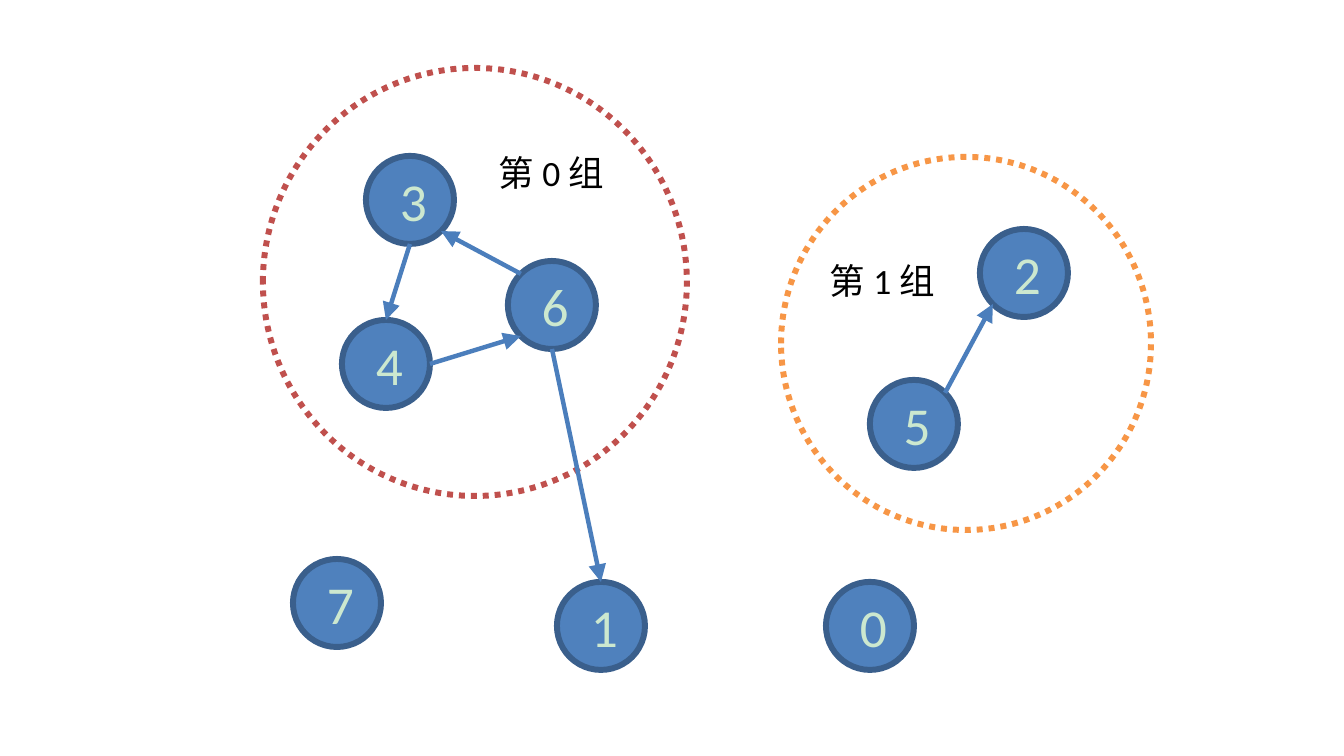
"""Build a slide of numbered graph nodes, their arrows and two dotted groups."""
from math import cos, radians, sin

from lxml import etree
from pptx import Presentation
from pptx.dml.color import RGBColor
from pptx.enum.dml import MSO_LINE
from pptx.enum.shapes import MSO_CONNECTOR, MSO_SHAPE
from pptx.enum.text import MSO_ANCHOR, MSO_AUTO_SIZE, PP_ALIGN
from pptx.oxml.ns import qn
from pptx.util import Pt

OVAL = MSO_SHAPE.OVAL
STRAIGHT = MSO_CONNECTOR.STRAIGHT
DOTTED = MSO_LINE.ROUND_DOT
MIDDLE = MSO_ANCHOR.MIDDLE
GROW = MSO_AUTO_SIZE.SHAPE_TO_FIT_TEXT
LEFT, CENTER = PP_ALIGN.LEFT, PP_ALIGN.CENTER

COLORS = {
    "node": "4F81BD", "rim": "3A5F8C", "arrow": "4B7EBC", "digit": "CCE8CF",
    "red": "C0504D", "orange": "F79646", "label": "000000",
}
FONT = "Calibri"
EMU_PER_PX = 4286.25
WIDTH, HEIGHT = 1344, 756
DIAMETER = 88

NODES = {
    "0": (870, 626), "1": (601, 626), "2": (1024, 273), "3": (410, 200),
    "6": (552, 305), "4": (386, 364), "5": (914, 424), "7": (337, 603),
}
ANGLES = {
    "right": 0, "lower right": 45, "bottom": 90, "lower left": 135,
    "upper left": 225, "top": 270, "upper right": 315,
}
ARROWS = [
    ("6", "bottom", "1", "top"),
    ("5", "upper right", "2", "lower left"),
    ("6", "upper left", "3", "lower right"),
    ("3", "bottom", "4", "top"),
    ("4", "right", "6", "lower left"),
]
GROUPS = [
    ("第 0 组", "red", (263, 68, 424, 428), (478, 141, 186, 64)),
    ("第 1 组", "orange", (781, 157, 370, 373), (809, 249, 186, 64)),
]


def px(*values):
    return [round(v * EMU_PER_PX) for v in values]


def rgb(name):
    return RGBColor.from_string(COLORS[name])


def write(tf, text, size, color, align=LEFT):
    tf.word_wrap = True
    p = tf.paragraphs[0]
    p.alignment = align
    r = p.add_run()
    r.text = text
    r.font.name, r.font.size = FONT, Pt(size)
    r.font.color.rgb = rgb(color)


def add_oval(s, box, line):
    sp = s.shapes.add_shape(OVAL, *px(*box))
    sp.shadow.inherit = False
    sp.line.color.rgb = rgb(line)
    sp.line.width = Pt(2)
    return sp


def add_node(s, digit, x, y):
    box = (x - DIAMETER / 2, y - DIAMETER / 2, DIAMETER, DIAMETER)
    sp = add_oval(s, box, "rim")
    sp.fill.solid()
    sp.fill.fore_color.rgb = rgb("node")
    sp.text_frame.vertical_anchor = MIDDLE
    write(sp.text_frame, digit, 18, "digit", CENTER)


def rim_point(node, side):
    x, y = NODES[node]
    angle = radians(ANGLES[side])
    return x + DIAMETER / 2 * cos(angle), y + DIAMETER / 2 * sin(angle)


def add_arrow(s, start, start_side, end, end_side):
    points = rim_point(start, start_side) + rim_point(end, end_side)
    arrow = s.shapes.add_connector(STRAIGHT, *px(*points))
    arrow.line.color.rgb = rgb("arrow")
    arrow.line.width = Pt(1.5)
    ln = arrow.line._get_or_add_ln()
    etree.SubElement(ln, qn("a:tailEnd"), type="triangle")
    etree.SubElement(arrow._element.spPr, qn("a:effectLst"))


def main():
    prs = Presentation()
    prs.slide_width, prs.slide_height = px(WIDTH, HEIGHT)
    s = prs.slides.add_slide(prs.slide_layouts[6])
    for digit, center in NODES.items():
        add_node(s, digit, *center)
    for label, color, ring_box, label_box in GROUPS:
        ring = add_oval(s, ring_box, color)
        ring.fill.background()
        ring.line.dash_style = DOTTED
        tf = s.shapes.add_textbox(*px(*label_box)).text_frame
        tf.auto_size = GROW
        write(tf, label, 12, "label")
    for arrow in ARROWS:
        add_arrow(s, *arrow)
    prs.save("out.pptx")


if __name__ == "__main__":
    main()
